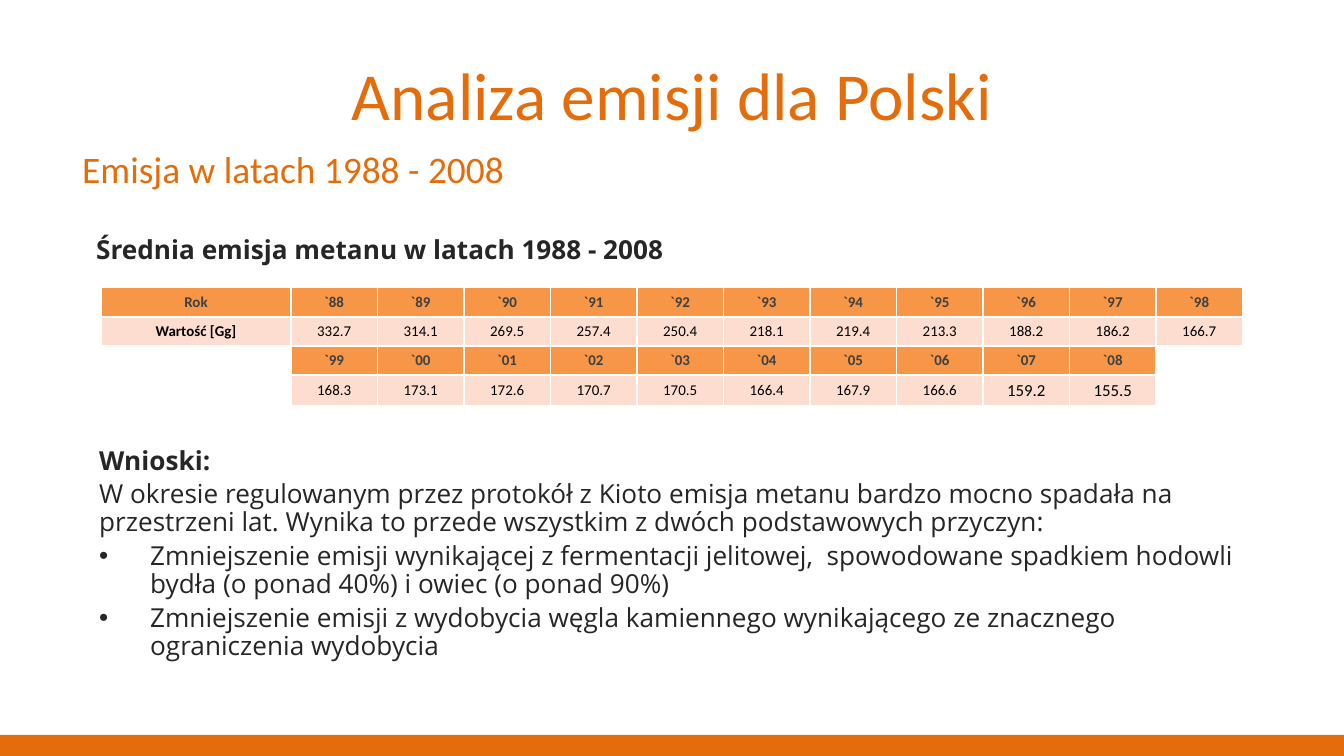
import pptx
import pptx.dml.color
import pptx.enum.shapes
import pptx.enum.text
import pptx.oxml
import pptx.oxml.ns
import pptx.util

PX = 914400 / 134.4
HUES = {
    "accent": "E46C0A", "text": "262626", "head": "F79646",
    "label": "404040", "value": "FCDDCF", "black": "000000", "white": "FFFFFF",
}
MID = pptx.enum.text.MSO_ANCHOR.MIDDLE
MAIN = {"name": "Calibri", "color": "accent"}
BODY = {"name": "Open Sans", "size": 14, "color": "text"}
HEAD = {"name": "Calibri", "size": 8, "bold": True, "color": "label"}
VALUE = HEAD | {"bold": False, "color": "black"}
TITLE = "Analiza emisji dla Polski"
TOPIC = "Emisja w latach 1988 - 2008"
LEAD = "Średnia emisja metanu w latach 1988 - 2008"
INTRO = (
    "W okresie regulowanym przez protokół z Kioto emisja metanu bardzo mocno "
    "spadała na przestrzeni lat. Wynika to przede wszystkim z dwóch "
    "podstawowych przyczyn:"
)
CAUSES = [
    "Zmniejszenie emisji wynikającej z fermentacji jelitowej,  spowodowane "
    "spadkiem hodowli bydła (o ponad 40%) i owiec (o ponad 90%)",
    "Zmniejszenie emisji z wydobycia węgla kamiennego wynikającego ze "
    "znacznego ograniczenia wydobycia",
]
ROWS = [
    ["Rok"] + [f"`{year}" for year in range(88, 99)],
    "Wartość [Gg]|332.7|314.1|269.5|257.4|250.4|218.1|219.4|213.3|188.2|186.2|166.7".split("|"),
    ["", "`99"] + [f"`{year:02}" for year in range(9)] + [""],
    "|168.3|173.1|172.6|170.7|170.5|166.4|167.9|166.6|159.2|155.5|".split("|"),
]


def px(length):
    return pptx.util.Emu(round(length * PX))


def hue(name):
    return pptx.dml.color.RGBColor.from_string(HUES[name])


def paint(fill, name):
    fill.solid()
    fill.fore_color.rgb = hue(name)


def style(font, form):
    for key, value in form.items():
        if key == "color":
            font.color.rgb = hue(value)
        else:
            setattr(font, key, pptx.util.Pt(value) if key == "size" else value)


def write(para, text, form, align="LEFT"):
    run = para.add_run()
    run.text = text
    style(run.font, form)
    para.alignment = getattr(pptx.enum.text.PP_ALIGN, align)


def add_box(slide, area, lines, align="LEFT", anchor=None, gap=0, pitch=1.0):
    """Add a text box; each line is a pair of text and format."""
    frame = slide.shapes.add_textbox(*map(px, area)).text_frame
    frame.word_wrap = True
    frame.vertical_anchor = anchor
    for i, (text, form) in enumerate(lines):
        para = frame.add_paragraph() if i else frame.paragraphs[0]
        para.space_before = pptx.util.Pt(gap)
        para.line_spacing = pitch
        write(para, text, form, align)
    return frame


def add_bullet(para):
    props = para._p.get_or_add_pPr()
    props.set("marL", str(px(51)))
    props.set("indent", str(-px(51)))
    for tag, key, value in [("buFont", "typeface", "Arial"), ("buChar", "char", "•")]:
        mark = pptx.oxml.ns.qn(f"a:{tag}")
        props.append(props.makeelement(mark, {key: value}))


def add_edges(cell):
    """Give the cell a white line on all four sides, ahead of its fill."""
    props = cell._tc.get_or_add_tcPr()
    for i, side in enumerate("LRTB"):
        props.insert(i, pptx.oxml.parse_xml(
            f'<a:ln{side} {pptx.oxml.ns.nsdecls("a")} w="12700"><a:solidFill>'
            f'<a:srgbClr val="{HUES["white"]}"/></a:solidFill></a:ln{side}>'))


def fill_cell(cell, text, row, col):
    cell.vertical_anchor = MID
    cell.margin_left = cell.margin_right = pptx.util.Inches(0.1)
    cell.margin_top = cell.margin_bottom = pptx.util.Inches(0.04)
    para = cell.text_frame.paragraphs[0]
    if text:
        top = row % 2 == 0
        form = HEAD if top else VALUE | {"bold": col == 0}
        if text in ("159.2", "155.5"):
            form = form | {"size": 9}
        write(para, text, form, "CENTER")
        paint(cell.fill, "head" if top else "value")
    else:
        mark = pptx.oxml.ns.qn("a:endParaRPr")
        para._p.append(para._p.makeelement(mark, {"sz": "800"}))
        cell.fill.background()
    add_edges(cell)


def add_grid(slide, left, top, width, first, heights):
    count = len(ROWS[0])
    area = map(px, (left, top, width, sum(heights)))
    table = slide.shapes.add_table(len(ROWS), count, *area).table
    table.first_row = table.horz_banding = False
    for i, col in enumerate(table.columns):
        col.width = px((width - first) / (count - 1) if i else first)
    for row, height in zip(table.rows, heights):
        row.height = px(height)
    for i, texts in enumerate(ROWS):
        for j, text in enumerate(texts):
            fill_cell(table.cell(i, j), text, i, j)
    table.cell(2, count - 1).merge(table.cell(3, count - 1))


def add_bar(slide, area):
    kind = pptx.enum.shapes.MSO_SHAPE.RECTANGLE
    bar = slide.shapes.add_shape(kind, *map(px, area))
    bar.shadow.inherit = False
    paint(bar.fill, "accent")
    bar.line.fill.background()


def main():
    deck = pptx.Presentation()
    deck.slide_width, deck.slide_height = px(1344), px(756)
    slide = deck.slides.add_slide(deck.slide_layouts[6])
    bold = BODY | {"bold": True}
    add_box(slide, (67, 31, 1210, 126), [(TITLE, MAIN | {"size": 36})], "CENTER", MID)
    add_box(slide, (69, 140, 1238, 301), [(TOPIC, MAIN | {"size": 20})], gap=4)
    add_box(slide, (83, 227, 868, 159), [(LEAD, bold)], gap=2.8)
    add_grid(slide, 101, 287, 1142, 190, (30, 29, 29, 30))
    add_bar(slide, (-16, 735, 1376, 42))
    lines = [("Wnioski:", bold)] + [(text, BODY) for text in [INTRO] + CAUSES]
    frame = add_box(slide, (86, 441, 1179, 159), lines, gap=2.8, pitch=0.9)
    for para in frame.paragraphs[2:]:
        add_bullet(para)
    deck.save("out.pptx")


if __name__ == "__main__":
    main()
